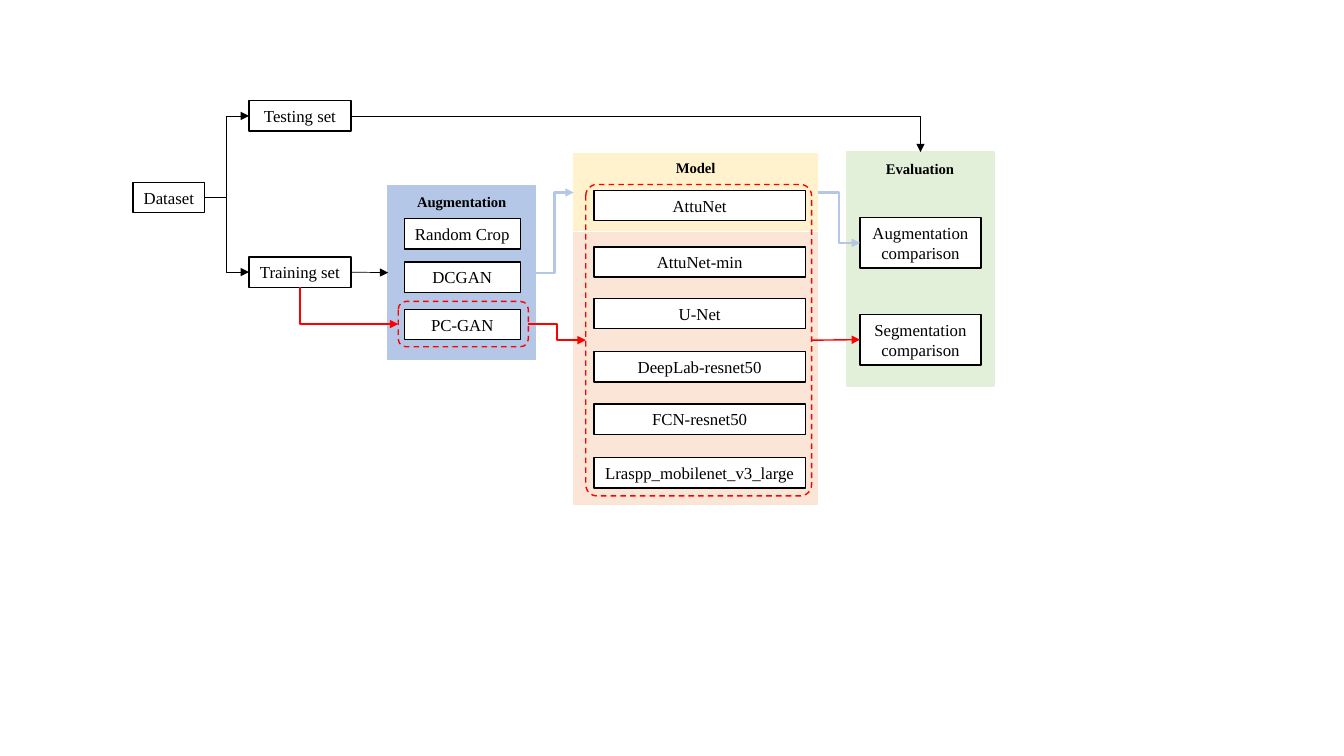
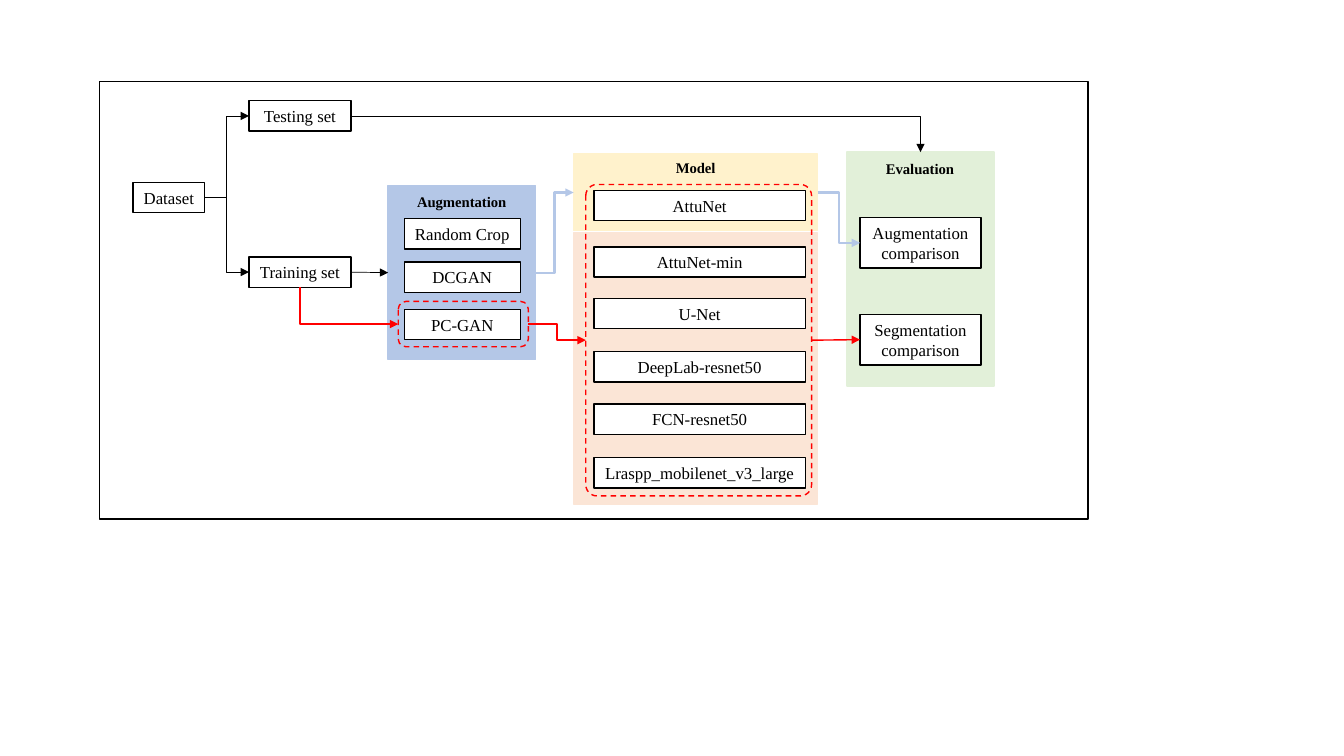
from dataclasses import dataclass

from lxml import etree
from pptx import Presentation
from pptx.dml.color import RGBColor
from pptx.enum import dml, shapes, text
from pptx.oxml.ns import qn
from pptx.util import Inches, Pt


@dataclass(frozen=True)
class Theme:
    font: str = "Times New Roman"
    label_size: float = 12
    heading_size: float = 10.5
    ink: str = "000000"
    paper: str = "FFFFFF"
    blue: str = "B4C7E7"
    yellow: str = "FFF2CC"
    peach: str = "FBE5D6"
    green: str = "E2F0D9"
    red: str = "FF0000"
    thin: float = 0.5
    medium: float = 1
    thick: float = 1.5


THEME = Theme()
TOP, LEFT, BOTTOM, RIGHT = range(4)
BOX_HEIGHT = 0.3
AUGMENTATIONS = {"Random Crop": 2.17, "DCGAN": 2.6, "PC-GAN": 3.07}
MODELS = {
    "AttuNet": 1.89,
    "AttuNet-min": 2.45,
    "U-Net": 2.96,
    "DeepLab-resnet50": 3.49,
    "FCN-resnet50": 4.01,
    "Lraspp_mobilenet_v3_large": 4.54,
}


def rgb(color):
    return RGBColor.from_string(color)


def write(shape, content, size, bold=False, wrap=False):
    frame = shape.text_frame
    frame.text = content
    frame.word_wrap = wrap
    frame.auto_size = text.MSO_AUTO_SIZE.SHAPE_TO_FIT_TEXT
    paragraph = frame.paragraphs[0]
    paragraph.alignment = text.PP_ALIGN.CENTER
    font = paragraph.runs[0].font
    font.name, font.size, font.bold = THEME.font, Pt(size), bold
    font.color.rgb = rgb(THEME.ink)


def add_panel(slide, at, fill, line=None):
    """Filled rectangle, outlined in its own colour unless a line is given."""
    panel = slide.shapes.add_shape(
        shapes.MSO_SHAPE.RECTANGLE, *map(Inches, at))
    panel.shadow.inherit = False
    panel.fill.solid()
    panel.fill.fore_color.rgb = rgb(fill)
    panel.line.color.rgb = rgb(line or fill)
    panel.line.width = Pt(THEME.medium)
    return panel


def add_box(slide, label, at, wrap=False):
    box = add_panel(slide, at, THEME.paper, THEME.ink)
    write(box, label, THEME.label_size, wrap=wrap)
    return box


def add_heading(slide, label, at):
    heading = slide.shapes.add_textbox(*map(Inches, at))
    write(heading, label, THEME.heading_size, bold=True)


def add_dashed_group(slide, at, rounding):
    group = slide.shapes.add_shape(
        shapes.MSO_SHAPE.ROUNDED_RECTANGLE, *map(Inches, at))
    group.shadow.inherit = False
    group.adjustments[0] = rounding
    group.fill.background()
    group.line.color.rgb = rgb(THEME.red)
    group.line.width = Pt(THEME.medium)
    group.line.dash_style = dml.MSO_LINE.DASH
    return group


def add_arrow(slide, start, start_side, end, end_side, color, width,
              straight=False):
    kind = (shapes.MSO_CONNECTOR.STRAIGHT if straight
            else shapes.MSO_CONNECTOR.ELBOW)
    arrow = slide.shapes.add_connector(kind, 0, 0, 0, 0)
    arrow.begin_connect(start, start_side)
    arrow.end_connect(end, end_side)
    arrow.line.color.rgb = rgb(color)
    arrow.line.width = Pt(width)
    properties = arrow.line._get_or_add_ln()
    etree.SubElement(properties, qn("a:tailEnd"), type="triangle")
    etree.SubElement(arrow._element.spPr, qn("a:effectLst"))
    return arrow


def make_single_bend(arrow, down_first=False):
    """Turn an elbow that runs right and down into one with a single corner."""
    properties = arrow._element.spPr
    properties.find(qn("a:prstGeom")).set("prst", "bentConnector2")
    if down_first:
        width, height = arrow.width, arrow.height
        arrow.left += (width - height) // 2
        arrow.top += (height - width) // 2
        arrow.width, arrow.height = height, width
        transform = properties.find(qn("a:xfrm"))
        transform.set("rot", "16200000")
        transform.set("flipH", "1")


def draw_pipeline(slide):
    evaluation = add_panel(slide, (8.4, 1.51, 1.46, 2.32), THEME.green)
    main_model = add_panel(slide, (5.69, 1.53, 2.42, 0.76), THEME.yellow)
    add_panel(slide, (5.69, 2.31, 2.42, 2.69), THEME.peach)
    augmentation = add_panel(slide, (3.85, 1.84, 1.46, 1.73), THEME.blue)

    add_heading(slide, "Augmentation", (4.01, 1.86, 1.14, 0.29))
    add_heading(slide, "Model", (6.6, 1.53, 0.6, 0.28))
    add_heading(slide, "Evaluation", (8.68, 1.54, 0.89, 0.28))

    dataset = add_box(slide, "Dataset", (1.32, 1.81, 0.71, BOX_HEIGHT))
    training = add_box(slide, "Training set", (2.47, 2.55, 1.01, BOX_HEIGHT))
    testing = add_box(slide, "Testing set", (2.47, 1, 1.01, BOX_HEIGHT))
    for column, left, width in ((AUGMENTATIONS, 4.01, 1.15),
                                (MODELS, 5.89, 2.1)):
        for label, top in column.items():
            add_box(slide, label, (left, top, width, BOX_HEIGHT))
    augmentation_comparison, segmentation_comparison = (
        add_box(slide, f"{subject} comparison", (8.53, top, 1.2, 0.5), wrap=True)
        for subject, top in (("Augmentation", 2.16), ("Segmentation", 3.12)))

    chosen_gan = add_dashed_group(slide, (3.95, 2.99, 1.29, 0.45), 0.17)
    all_models = add_dashed_group(slide, (5.81, 1.83, 2.24, 3.09), 0.05)

    data_style = (THEME.ink, THEME.thin)
    augmentation_style = (THEME.blue, THEME.thick)
    segmentation_style = (THEME.red, THEME.medium)

    add_arrow(slide, dataset, RIGHT, testing, LEFT, *data_style)
    add_arrow(slide, dataset, RIGHT, training, LEFT, *data_style)
    add_arrow(slide, training, RIGHT, augmentation, LEFT, *data_style,
              straight=True)
    make_single_bend(
        add_arrow(slide, testing, RIGHT, evaluation, TOP, *data_style))

    add_arrow(slide, augmentation, RIGHT, main_model, LEFT,
              *augmentation_style)
    add_arrow(slide, main_model, RIGHT, augmentation_comparison, LEFT,
              *augmentation_style)

    make_single_bend(
        add_arrow(slide, training, BOTTOM, chosen_gan, LEFT,
                  *segmentation_style),
        down_first=True)
    add_arrow(slide, chosen_gan, RIGHT, all_models, LEFT, *segmentation_style)
    add_arrow(slide, all_models, RIGHT, segmentation_comparison, LEFT,
              *segmentation_style, straight=True)


def main():
    deck = Presentation()
    deck.slide_width, deck.slide_height = Inches(13.33), Inches(7.5)
    blank = deck.slide_layouts[6]

    draw_pipeline(deck.slides.add_slide(blank))

    framed = deck.slides.add_slide(blank)
    add_panel(framed, (0.99, 0.81, 9.8, 4.34), THEME.paper, THEME.ink)
    draw_pipeline(framed)

    deck.save("out.pptx")


if __name__ == "__main__":
    main()
